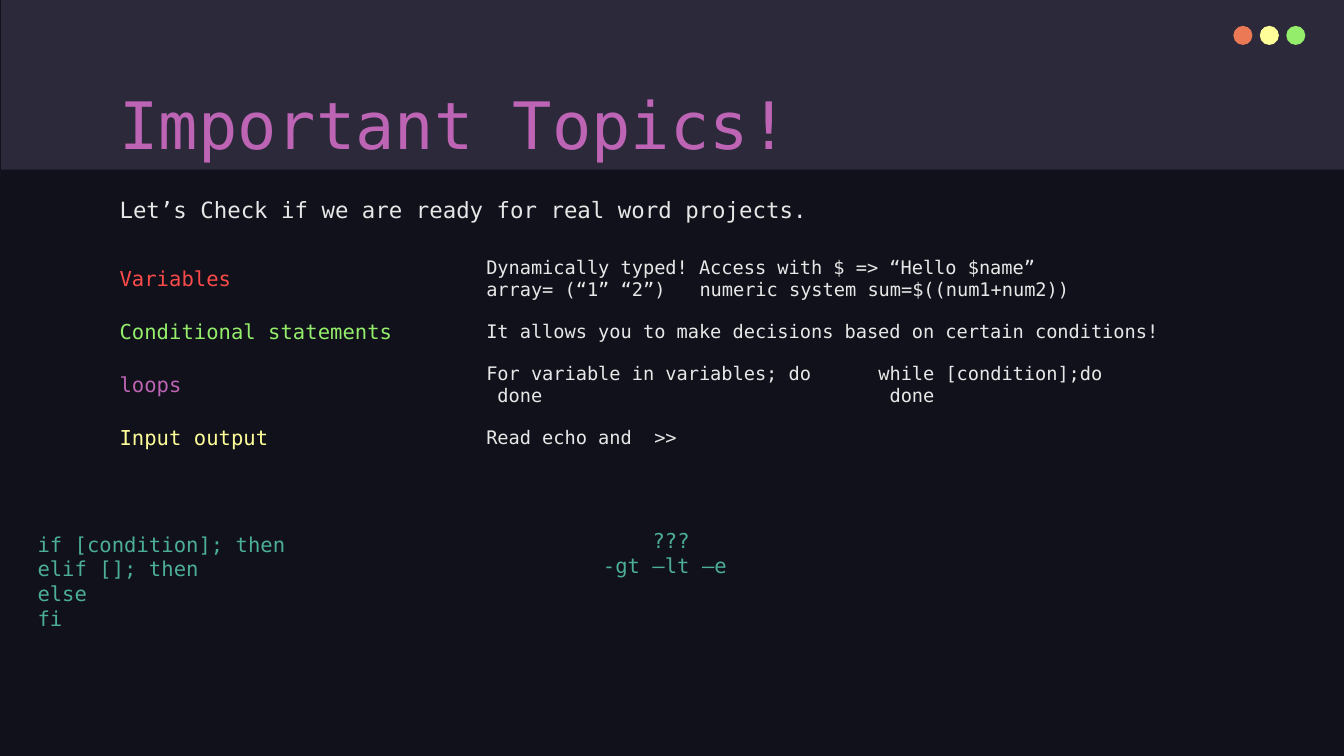
from lxml import etree
from pptx import Presentation
from pptx.dml.color import RGBColor
from pptx.enum import shapes, text
from pptx.oxml import ns
from pptx.util import Cm, Pt

FONT = "DejaVu Sans Mono"
NIGHT = RGBColor(0x10, 0x11, 0x1A)
SLATE = RGBColor(0x2C, 0x29, 0x3A)
ORANGE = RGBColor(0xEC, 0x79, 0x55)
YELLOW = RGBColor(0xFF, 0xFF, 0x99)
GREEN = RGBColor(0x94, 0xEE, 0x6B)
PURPLE = RGBColor(0xBD, 0x64, 0xB5)
RED = RGBColor(0xFD, 0x4A, 0x4A)
TEAL = RGBColor(0x4C, 0xAE, 0x97)
LIGHT = RGBColor(0xE7, 0xE7, 0xE7)

# Content
TITLE = "Important Topics!"
INTRO = "Let’s Check if we are ready for real word projects."
TOPICS = [  # topic, colour, lines of the explanation, tab stop
    ("Variables", RED,
     ["Dynamically typed! Access with $ => “Hello $name”",
      "array= (“1” “2”)\tnumeric system sum=$((num1+num2))"], Cm(4.03)),
    ("Conditional statements", GREEN,
     ["It allows you to make decisions based on certain conditions!"], None),
    ("loops", PURPLE,
     ["For variable in variables; do\twhile [condition];do",
      " done\t done"], Cm(7.41)),
    ("Input output", YELLOW, ["Read echo and  >>"], None),
]
SPARE_ROWS = 2
OPERATORS = ["???", "-gt –lt –e "]
IF_SYNTAX = ["if [condition]; then", "elif []; then", "else", "fi"]

# Layout
LEFT, WIDTH = Cm(2.01), Cm(21.41)
TOPIC_WIDTH = Cm(6.93)
ROW_HEIGHT = Cm(1)
DOT, DOT_LEFT, DOT_STEP = Cm(0.36), Cm(23.31), Cm(0.5)
INSET = Cm(0.25)


def add_run(paragraph, words, size, colour):
    run = paragraph.add_run()
    run.text = words
    run.font.name = FONT
    run.font.size = Pt(size)
    run.font.color.rgb = colour


def place(shape, left, top, width, height):
    shape.left, shape.top, shape.width, shape.height = left, top, width, height


def set_frame(frame, top_inset=INSET):
    frame.word_wrap = True
    frame.auto_size = text.MSO_AUTO_SIZE.NONE
    frame.vertical_anchor = text.MSO_ANCHOR.TOP
    frame.margin_left = frame.margin_right = frame.margin_bottom = INSET
    frame.margin_top = top_inset


def add_plain(kind, left, top, width, height, colour):
    shape = slide.shapes.add_shape(kind, left, top, width, height)
    shape.shadow.inherit = False
    shape.fill.solid()
    shape.fill.fore_color.rgb = colour
    shape.line.fill.background()
    return shape


def add_code(lines, left, top, width, height, align):
    frame = slide.shapes.add_textbox(left, top, width, height).text_frame
    set_frame(frame)
    for i, line in enumerate(lines):
        paragraph = frame.add_paragraph() if i else frame.paragraphs[0]
        paragraph.alignment = align
        add_run(paragraph, line, 11, TEAL)


prs = Presentation()
prs.slide_width, prs.slide_height = Cm(25.4), Cm(14.29)
slide = prs.slides.add_slide(prs.slide_layouts[1])
slide.background.fill.solid()
slide.background.fill.fore_color.rgb = NIGHT

# Header band, behind the title, and window dots
band = add_plain(shapes.MSO_SHAPE.RECTANGLE, Cm(0.02), 0, Cm(25.4), Cm(3.21), SLATE)
slide.shapes._spTree.insert(2, band._element)
for i, colour in enumerate([ORANGE, YELLOW, GREEN]):
    add_plain(shapes.MSO_SHAPE.OVAL, DOT_LEFT + i * DOT_STEP, Cm(0.49), DOT, DOT, colour)

# Title and intro
title, intro = slide.placeholders
place(title, LEFT, Cm(1.24), WIDTH, Cm(1.6))
set_frame(title.text_frame, Cm(0.35))
heading = title.text_frame.paragraphs[0]
heading.alignment = text.PP_ALIGN.LEFT
add_run(heading, TITLE, 35, PURPLE)

place(intro, LEFT, Cm(3.38), WIDTH, Cm(7.82))
set_frame(intro.text_frame)
sentence = intro.text_frame.paragraphs[0]
sentence.line_spacing = 1.15
sentence.space_before = Pt(0)
add_run(sentence, INTRO, 12, LIGHT)
props = sentence._p.get_or_add_pPr()
props.set("marL", "0")
props.set("indent", "0")
etree.SubElement(props, ns.qn("a:buNone"))

# Topics table
row_count = len(TOPICS) + SPARE_ROWS
table = slide.shapes.add_table(row_count, 2, LEFT, Cm(4.78), WIDTH,
                               ROW_HEIGHT * row_count).table
table.first_row = table.horz_banding = False
style = table._tbl.tblPr.find(ns.qn("a:tableStyleId"))
style.text = "{2D5ABB26-0587-4C30-8999-92F81FD0307C}"  # no style, no grid
table.columns[0].width = TOPIC_WIDTH
table.columns[1].width = WIDTH - TOPIC_WIDTH
for cell in table.iter_cells():
    cell.fill.background()
    cell.vertical_anchor = text.MSO_ANCHOR.MIDDLE
    cell.margin_left = cell.margin_right = INSET
    cell.margin_top = cell.margin_bottom = 0
for row, (topic, colour, lines, tab_stop) in enumerate(TOPICS):
    add_run(table.cell(row, 0).text_frame.paragraphs[0], topic, 11, colour)
    explanation = table.cell(row, 1).text_frame.paragraphs[0]
    explanation.space_after = Pt(16)
    if tab_stop:
        tabs = etree.SubElement(explanation._p.get_or_add_pPr(), ns.qn("a:tabLst"))
        etree.SubElement(tabs, ns.qn("a:tab"), pos=str(int(tab_stop)), algn="l")
    for i, line in enumerate(lines):
        if i:
            explanation.add_line_break()
        add_run(explanation, line, 10, LIGHT)

# Code notes
add_code(OPERATORS, Cm(8.43), Cm(9.73), Cm(8.51), Cm(1.27), text.PP_ALIGN.CENTER)
add_code(IF_SYNTAX, Cm(0.46), Cm(9.8), Cm(12.24), Cm(2.79), text.PP_ALIGN.LEFT)

prs.save("out.pptx")
